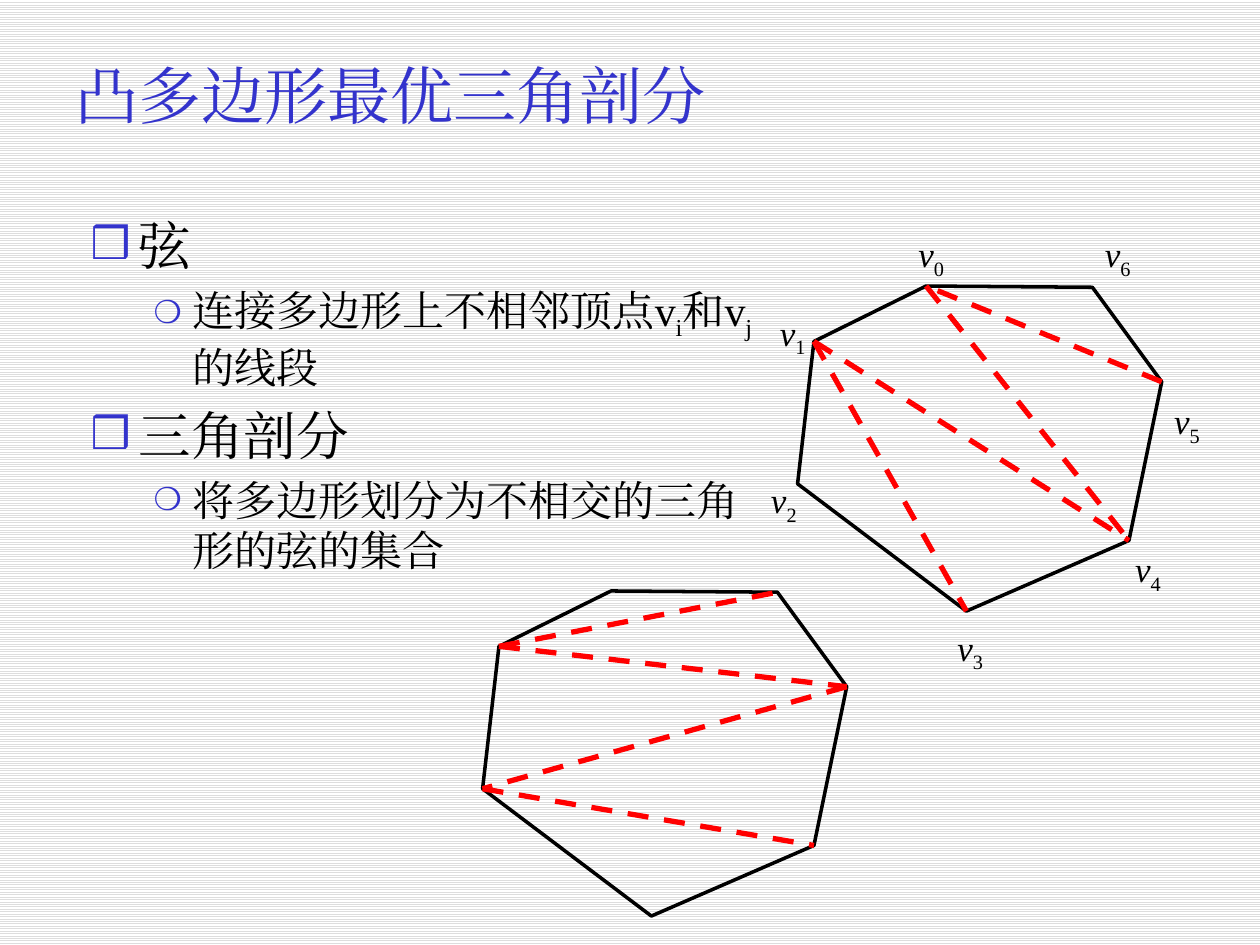
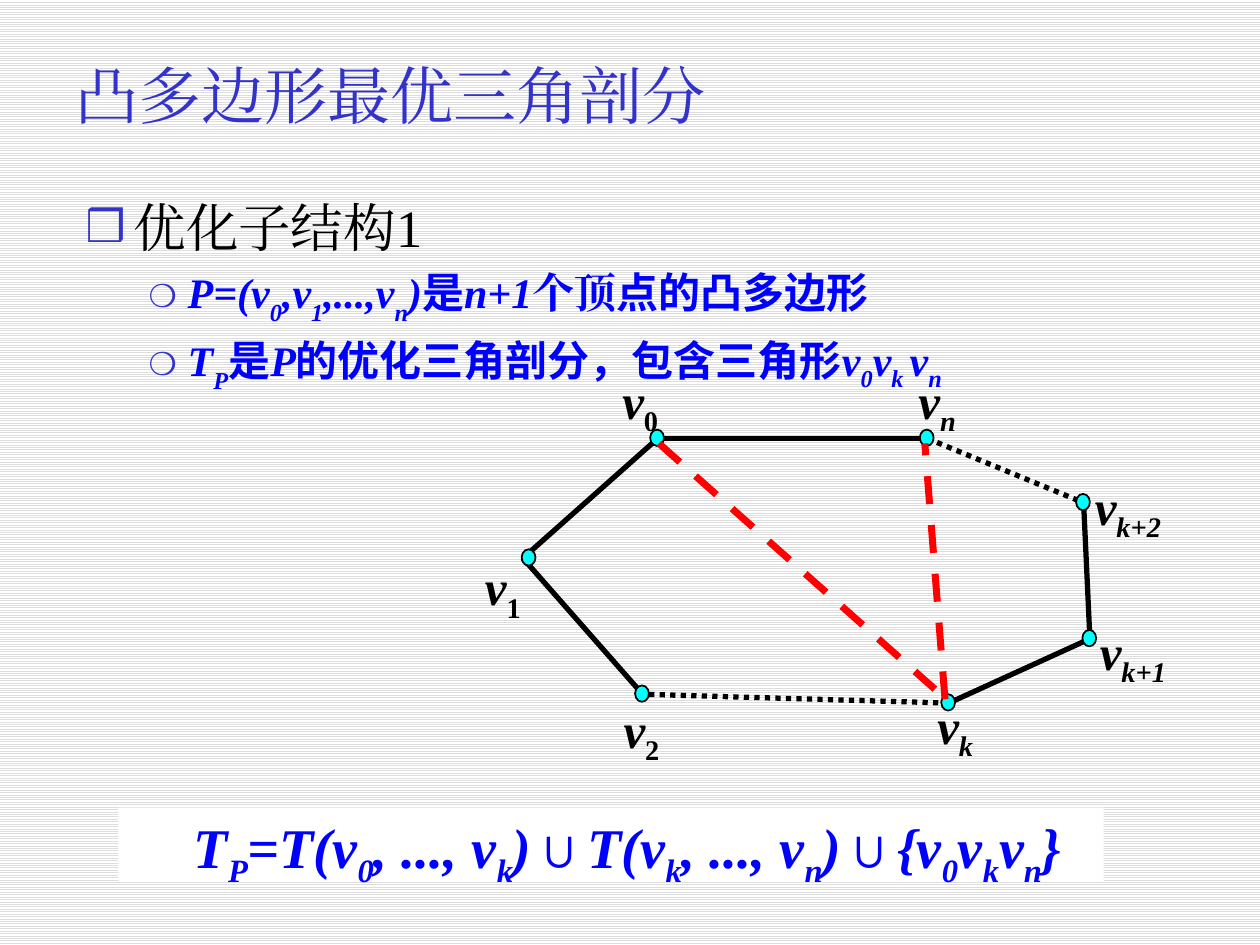
import dataclasses

import lxml.etree
import pptx
import pptx.dml.color
import pptx.enum.dml
import pptx.enum.shapes
import pptx.enum.text
import pptx.oxml.ns
import pptx.util

PX = 9144
RGB = pptx.dml.color.RGBColor.from_string
DASH = pptx.enum.dml.MSO_LINE.DASH
DOTS = pptx.enum.dml.MSO_LINE.ROUND_DOT
ALIGN = pptx.enum.text.PP_ALIGN
ANCHOR = pptx.enum.text.MSO_ANCHOR
FIT = pptx.enum.text.MSO_AUTO_SIZE


@dataclasses.dataclass(frozen=True)
class Theme:
    """Colours, fonts and type sizes shared by the slides."""
    accent: str = "3333CC"
    ink: str = "000000"
    math: str = "0000FF"
    chord: str = "FF0000"
    dot: str = "00FFFF"
    paper: str = "FFFFFF"
    stripe: str = "DDDDDD"
    serif: str = "Times New Roman"
    sans: str = "Noto Sans CJK SC"
    title: int = 36
    topic: int = 30
    detail: int = 24
    formula: int = 32
    small_label: int = 20
    big_label: int = 28


@dataclasses.dataclass(frozen=True)
class Look:
    """Format of a piece of text and of its subscripts."""
    size: int
    color: str
    name: str
    bold: bool = False
    italic: bool = False
    sub_italic: bool = False
    drop: int = -25


@dataclasses.dataclass(frozen=True)
class Box:
    """Region of a slide in px."""
    x: int
    y: int
    w: int
    h: int

    def emu(self):
        """Return left, top, width and height in EMU."""
        return [PX * side for side in (self.x, self.y, self.w, self.h)]

    def inner(self, x, y, w, h):
        """Return a box placed relative to this one."""
        return Box(self.x + x, self.y + y, w, h)

    def point(self, x, y):
        """Return a point placed relative to this box."""
        return self.x + x, self.y + y


THEME = Theme()
TITLE = Look(THEME.title, THEME.accent, THEME.serif)
TOPIC = Look(THEME.topic, THEME.ink, THEME.serif)
DETAIL = Look(THEME.detail, THEME.ink, THEME.serif)
MATH = Look(THEME.detail, THEME.math, THEME.serif, True, True, True, -30)
MATH_25 = dataclasses.replace(MATH, drop=-25)
MATH_CJK = dataclasses.replace(MATH, name=THEME.sans, italic=False)
MATH_UPRIGHT = dataclasses.replace(MATH, italic=False)
FORMULA = dataclasses.replace(MATH_25, size=THEME.formula)
UNION = dataclasses.replace(FORMULA, italic=False)
SMALL_LABEL = Look(THEME.small_label, THEME.ink, THEME.serif, italic=True)
BIG_LABEL = Look(THEME.big_label, THEME.ink, THEME.serif, True, True)

BULLETS = (("❒", 85, 38, -38), ("❍", 75, 81, -31))

HEADING = "凸多边形最优三角剖分"
TITLE_BOX = Box(50, 25, 850, 100)
HEPTAGON = ((102, 0), (13, 44), (0, 157), (134, 258), (263, 202), (289, 76), (234, 1))
HEPTAGON_LABELS = ((86, -47), (-24, 15), (-31, 148), (117, 265), (258, 203), (289, 85), (234, -47))

CHORD_LIST = (
    (0, [("弦", TOPIC)]),
    (1, [("连接多边形上不相邻顶点v|i|和v|j|的线段", DETAIL)]),
    (0, [("三角剖分", TOPIC)]),
    (1, [("将多边形划分为不相交的三角形的弦的集合", DETAIL)]),
)
SUBSTRUCTURE_LIST = (
    (0, [("优化子结构1", TOPIC)]),
    (1, [("P=(v|0|,v|1|,...,v|n|)", MATH), ("是", MATH_CJK), ("n+1", MATH),
         ("个顶", MATH_UPRIGHT), ("点的凸多边形", MATH_CJK)]),
    (1, [("T|P|", MATH), ("是", MATH_CJK), ("P", MATH),
         ("的优化三角剖分，包含三角形", MATH_CJK), ("v|0|v|k |v|n|", MATH_25)]),
)
SPLIT_FORMULA = [("T|P|=T(v|0|, ..., v|k|)", FORMULA), ("∪", UNION),
                 ("T(v|k|, ..., v|n|)", FORMULA), ("∪", UNION),
                 ("{v|0|v|k|v|n|}", FORMULA)]

RING = (
    ("0", (107, 7), (69, -52), 0, None),
    ("n", (321, 7), (304, -52), 0, DOTS),
    ("k+2", (445, 58), (444, 32), 0, None),
    ("k+1", (450, 166), (448, 147), 0, None),
    ("k", (338, 217), (319, 206), 0, DOTS),
    ("2", (95, 210), (70, 209), 0, None),
    ("1", (0, 102), (-40, 96), 5, None),
)
RING_CHORDS = (((108, 11), (327, 206)), ((335, 214), (319, 11)))


def apply(target, values):
    """Set each attribute named in a dict."""
    for name, value in values.items():
        setattr(target, name, value)


def add_element(parent, tag, **values):
    """Append a drawing element with its attributes."""
    element = lxml.etree.SubElement(parent, pptx.oxml.ns.qn(tag))
    for name, value in values.items():
        element.set(name, str(value))
    return element


def write(para, pieces):
    """Write pieces of text, with subscripts held between bars."""
    for text, look in pieces:
        for index, part in enumerate(text.split("|")):
            if not part:
                continue
            lowered = index % 2 == 1
            span = para.add_run()
            span.text = part
            apply(span.font, {
                "size": pptx.util.Pt(look.size),
                "name": look.name,
                "bold": look.bold,
                "italic": look.sub_italic if lowered else look.italic,
            })
            span.font.color.rgb = RGB(look.color)
            add_element(span.font._element, "a:ea", typeface=look.name)
            if lowered:
                span.font._element.set("baseline", str(look.drop * 1000))


def set_bullet(para, level):
    """Give a paragraph the bullet and indents of its level."""
    mark, percent, margin, indent = BULLETS[level]
    para.level = level
    props = para._p.get_or_add_pPr()
    props.set("marL", str(margin * PX))
    props.set("indent", str(indent * PX))
    add_element(add_element(props, "a:buClr"), "a:srgbClr", val=THEME.accent)
    add_element(props, "a:buSzPct", val=percent * 1000)
    add_element(props, "a:buChar", char=mark)


def place(shape, box):
    """Move a shape into a box."""
    apply(shape, dict(zip(("left", "top", "width", "height"), box.emu())))


def add_page(deck, body_box, items):
    """Add a slide with its title and bulleted list."""
    page = deck.slides.add_slide(deck.slide_layouts[1])
    title, body = page.placeholders
    place(title, TITLE_BOX)
    apply(title.text_frame, {"vertical_anchor": ANCHOR.MIDDLE, "auto_size": FIT.NONE})
    para = title.text_frame.paragraphs[0]
    para.alignment = ALIGN.LEFT
    write(para, [(HEADING, TITLE)])
    place(body, body_box)
    frame = body.text_frame
    frame.auto_size = FIT.NONE
    for index, (level, pieces) in enumerate(items):
        para = frame.add_paragraph() if index else frame.paragraphs[0]
        set_bullet(para, level)
        if index == 0:
            para.space_before = pptx.util.Pt(0)
        write(para, pieces)
    return page


def add_label(page, box, sub, look):
    """Add the name of a vertex."""
    frame = page.shapes.add_textbox(*box.emu()).text_frame
    apply(frame, {"word_wrap": False, "auto_size": FIT.SHAPE_TO_FIT_TEXT})
    look = dataclasses.replace(look, sub_italic=not sub.isdigit())
    write(frame.paragraphs[0], [(f"v|{sub}|", look)])


def add_line(page, start, end, color, width, dash=None):
    """Draw a straight line between two points."""
    ends = [PX * value for value in (*start, *end)]
    line = page.shapes.add_connector(pptx.enum.shapes.MSO_CONNECTOR.STRAIGHT, *ends)
    line.line.color.rgb = RGB(color)
    apply(line.line, {"width": pptx.util.Pt(width), "dash_style": dash})
    add_element(line._element.spPr, "a:effectLst")


def add_heptagon(page, box, chords):
    """Draw a heptagon and the chords that split it."""
    points = [box.point(*corner) for corner in HEPTAGON]
    builder = page.shapes.build_freeform(*points[0], scale=PX)
    builder.add_line_segments(points[1:], close=True)
    outline = builder.convert_to_shape()
    outline.shadow.inherit = False
    outline.fill.background()
    outline.line.color.rgb = RGB(THEME.ink)
    outline.line.width = pptx.util.Pt(2)
    for start, end in chords:
        add_line(page, points[start], points[end], THEME.chord, 3, DASH)


def add_heptagon_labels(page, box):
    """Name the corners of a heptagon."""
    for index, (x, y) in enumerate(HEPTAGON_LABELS):
        add_label(page, box.inner(x, y, 42, 44), str(index), SMALL_LABEL)


def add_ring(page, box):
    """Draw the polygon with dots, names and the chosen triangle."""
    for vertex, following in zip(RING, RING[1:] + RING[:1]):
        add_line(page, box.point(*vertex[1]), box.point(*following[1]), THEME.ink, 3, vertex[4])
    for sub, (x, y), label, shift, _ in RING:
        add_label(page, box.inner(*label, 51 if len(sub) == 1 else 79, 57), sub, BIG_LABEL)
        dot = page.shapes.add_shape(pptx.enum.shapes.MSO_SHAPE.OVAL,
                                    *box.inner(x - 6 + shift, y - 7, 11, 13).emu())
        dot.shadow.inherit = False
        dot.fill.solid()
        dot.fill.fore_color.rgb = RGB(THEME.dot)
        dot.line.color.rgb = RGB(THEME.ink)
        dot.line.width = pptx.util.Pt(1)
    for start, end in RING_CHORDS:
        add_line(page, box.point(*start), box.point(*end), THEME.chord, 4, DASH)


def add_formula(page, box):
    """Add the formula on its white band."""
    band = page.shapes.add_shape(pptx.enum.shapes.MSO_SHAPE.RECTANGLE, *box.emu())
    band.shadow.inherit = False
    band.fill.solid()
    band.fill.fore_color.rgb = RGB(THEME.paper)
    band.line.fill.background()
    apply(band.text_frame, {"word_wrap": True, "vertical_anchor": ANCHOR.TOP})
    para = band.text_frame.paragraphs[0]
    para._p.get_or_add_pPr().set("marL", str(50 * PX))
    apply(para, {"alignment": ALIGN.LEFT, "line_spacing": 0.9, "space_before": pptx.util.Pt(0)})
    write(para, SPLIT_FORMULA)


def set_background(deck):
    """Give every slide the striped background."""
    fill = deck.slide_master.background.fill
    fill.patterned()
    fill.pattern = pptx.enum.dml.MSO_PATTERN.LIGHT_HORIZONTAL
    fill.fore_color.rgb = RGB(THEME.stripe)
    fill.back_color.rgb = RGB(THEME.paper)


def main():
    """Build both slides and save the deck."""
    deck = pptx.Presentation()
    apply(deck, {"slide_width": 1000 * PX, "slide_height": 750 * PX})
    set_background(deck)

    chords = add_page(deck, Box(62, 164, 547, 533), CHORD_LIST)
    upper = Box(633, 227, 289, 258)
    add_heptagon_labels(chords, upper)
    add_heptagon(chords, upper, ((1, 4), (1, 3), (5, 0), (0, 4)))
    add_heptagon(chords, Box(383, 469, 289, 258), ((1, 5), (1, 6), (5, 2), (2, 4)))

    substructure = add_page(deck, Box(58, 150, 864, 533), SUBSTRUCTURE_LIST)
    add_ring(substructure, Box(415, 341, 456, 224))
    add_formula(substructure, Box(94, 641, 782, 59))

    deck.save("out.pptx")


if __name__ == "__main__":
    main()
